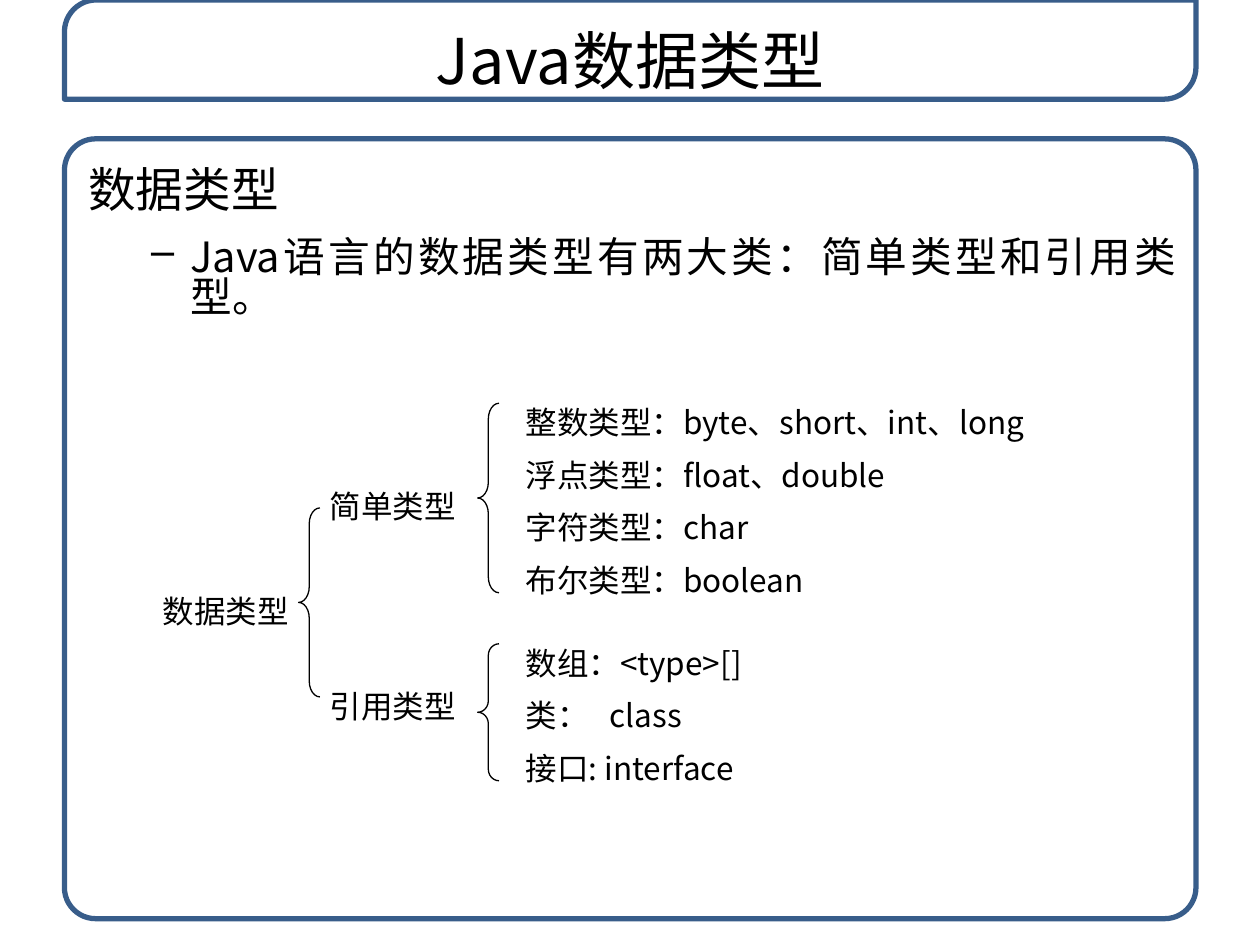
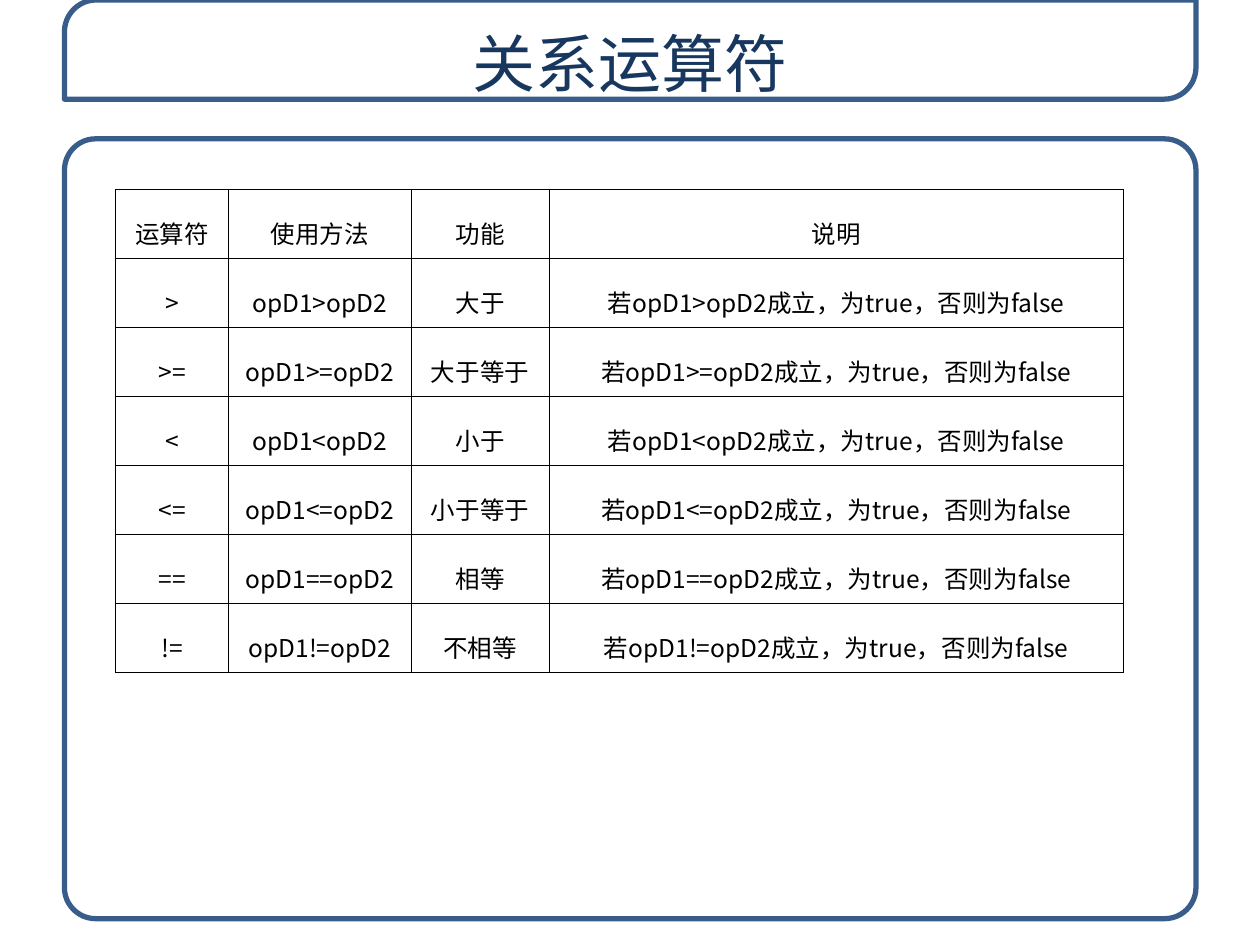
from typing import NamedTuple

from lxml.etree import SubElement
from pptx import Presentation
from pptx.dml.color import RGBColor
from pptx.enum.shapes import MSO_SHAPE as Preset
from pptx.enum.text import MSO_ANCHOR as Anchor, PP_ALIGN as Align
from pptx.oxml.ns import qn
from pptx.util import Cm, Pt

FONT = "Noto Sans CJK SC"
COLORS = {"frame": "385D8A", "paper": "FFFFFF", "text": "000000", "navy": "17375E"}


class Box(NamedTuple):
    """Left, top, width and height in centimetres."""
    left: float
    top: float
    width: float
    height: float

    def lengths(self):
        return [Cm(value) for value in self]

    def inner(self, left, top, width, height):
        return Box(self.left + left, self.top + top, width, height)


TITLE_FRAME = Box(1.3, 0, 22.81, 2)
CONTENT_FRAME = Box(1.3, 2.8, 22.81, 15.72)
TITLE_BOXES = {"types": Box(1.27, 0.3, 22.86, 1.45), "operators": Box(1.3, 0.36, 22.78, 1.93)}

LEAF_PITCH = 1.06
LABEL_HEIGHT = 0.76
BRACE_WIDTH = 0.43
# Branch name, its top, the top of its leaves, the leaves
BRANCHES = [
    ("简单类型", 1.68, 0, ["整数类型：byte、short、int、long", "浮点类型：float、double",
                       "字符类型：char", "布尔类型：boolean"]),
    ("引用类型", 5.72, 4.85, ["数组：<type>[]", "类：\tclass", "接口: interface"]),
]

COLUMN_WIDTHS = [2.28, 3.68, 2.78, 11.58]
HEADINGS = ["运算符", "使用方法", "功能", "说明"]
OPERATORS = {">": "大于", ">=": "大于等于", "<": "小于", "<=": "小于等于",
             "==": "相等", "!=": "不相等"}


def set_all(target, values):
    for name, value in values.items():
        setattr(target, name, value)


def write(paragraph, text, size, color="text", **paragraph_format):
    set_all(paragraph, paragraph_format)
    run = paragraph.add_run()
    run.text = text
    set_all(run.font, {"name": FONT, "size": Pt(size)})
    run.font.color.rgb = RGBColor.from_string(COLORS[color])
    SubElement(run.font._element, qn("a:ea"), typeface=FONT)


def set_frame(frame, margin_x, margin_y, anchor):
    set_all(frame, {"margin_left": Cm(margin_x), "margin_right": Cm(margin_x),
                    "margin_top": Cm(margin_y), "margin_bottom": Cm(margin_y),
                    "vertical_anchor": anchor, "word_wrap": True})


def add_outline(slide, preset, box, adjustments, color, width, filled):
    shape = slide.shapes.add_shape(preset, *box.lengths())
    for index, value in enumerate(adjustments):
        shape.adjustments[index] = value
    shape.shadow.inherit = False
    if filled:
        shape.fill.solid()
        shape.fill.fore_color.rgb = RGBColor.from_string(COLORS["paper"])
    else:
        shape.fill.background()
    shape.line.color.rgb = RGBColor.from_string(COLORS[color])
    shape.line.width = Pt(width)
    return shape


def move_frames_to_layout(slide):
    """Draw the two frames and hand them to the layout, so that every slide shows them."""
    tree = slide.slide_layout.shapes._spTree
    for preset, box, adjustments in [
        (Preset.ROUND_2_DIAG_RECTANGLE, TITLE_FRAME, [0.32, 0]),
        (Preset.ROUNDED_RECTANGLE, CONTENT_FRAME, [0.04]),
    ]:
        shape = add_outline(slide, preset, box, adjustments, "frame", 3, True)
        tree.insert(2, shape._element)


def set_title(slide, text, box, color):
    title = slide.shapes.title
    set_all(title, dict(zip(("left", "top", "width", "height"), box.lengths())))
    set_frame(title.text_frame, 0.25, 0.13, Anchor.TOP)
    write(title.text_frame.paragraphs[0], text, 36, color,
          alignment=Align.CENTER, line_spacing=1.0)


def add_introduction(slide, box):
    frame = slide.shapes.add_textbox(*box.lengths()).text_frame
    set_frame(frame, 0.41, 0.13, Anchor.TOP)
    write(frame.paragraphs[0], "数据类型", 27.2, alignment=Align.JUSTIFY, line_spacing=1.0)
    item = frame.add_paragraph()
    properties = item._p.get_or_add_pPr()
    # Without hanging punctuation the full stop stays inside the right margin
    for name, value in {"marL": Cm(2.06), "indent": -Cm(0.79), "hangingPunct": 0}.items():
        properties.set(name, str(value))
    write(item, "Java语言的数据类型有两大类：简单类型和引用类型。", 23.8,
          alignment=Align.JUSTIFY, line_spacing=0.81, space_before=Pt(13))
    SubElement(properties, qn("a:buChar"), char="–")


def add_label(slide, text, box):
    frame = slide.shapes.add_textbox(*box.lengths()).text_frame
    set_frame(frame, 0, 0, Anchor.MIDDLE)
    paragraph = frame.paragraphs[0]
    if "\t" in text:
        tabs = SubElement(paragraph._p.get_or_add_pPr(), qn("a:tabLst"))
        SubElement(tabs, qn("a:tab"), pos=str(Cm(1.69)), algn="l")
    write(paragraph, text, 18)


def add_brace(slide, box):
    curve = box.height / 12 / box.width
    add_outline(slide, Preset.LEFT_BRACE, box, [curve, 0.5], "text", 0.75, False)


def add_type_tree(slide, box):
    add_label(slide, "数据类型", box.inner(0, 3.81, 2.7, LABEL_HEIGHT))
    add_brace(slide, box.inner(2.74, 2.11, BRACE_WIDTH, 3.81))
    for name, name_top, leaves_top, leaves in BRANCHES:
        add_label(slide, name, box.inner(3.37, name_top, 2.7, LABEL_HEIGHT))
        brace_height = (len(leaves) - 1) * LEAF_PITCH + 0.64
        add_brace(slide, box.inner(6.35, leaves_top, BRACE_WIDTH, brace_height))
        for index, leaf in enumerate(leaves):
            top = leaves_top + index * LEAF_PITCH
            add_label(slide, leaf, box.inner(7.32, top, box.width - 7.32, LABEL_HEIGHT))


def add_cell_borders(cell):
    properties = cell._tc.get_or_add_tcPr()
    for side in ("lnL", "lnR", "lnT", "lnB"):
        line = SubElement(properties, qn(f"a:{side}"), w=str(Pt(0.23)))
        fill = SubElement(line, qn("a:solidFill"))
        SubElement(fill, qn("a:srgbClr"), val=COLORS["text"])


def add_operator_table(slide, box):
    rows = [HEADINGS]
    for operator, meaning in OPERATORS.items():
        usage = f"opD1{operator}opD2"
        rows.append([operator, usage, meaning, f"若{usage}成立，为true，否则为false"])
    table = slide.shapes.add_table(len(rows), len(HEADINGS), *box.lengths()).table
    set_all(table, {"first_row": False, "horz_banding": False})
    for column, width in zip(table.columns, COLUMN_WIDTHS):
        column.width = Cm(width)
    for row, texts in zip(table.rows, rows):
        row.height = Cm(box.height / len(rows))
        for cell, text in zip(row.cells, texts):
            add_cell_borders(cell)
            cell.fill.background()
            cell.vertical_anchor = Anchor.MIDDLE
            write(cell.text_frame.paragraphs[0], text, 14,
                  alignment=Align.CENTER, line_spacing=1.5)


def build_types_slide(slide):
    set_title(slide, "Java数据类型", TITLE_BOXES["types"], "text")
    add_introduction(slide, CONTENT_FRAME.inner(0.07, 0.3, 22.76, 2.97))
    add_type_tree(slide, CONTENT_FRAME.inner(1.98, 5.33, 18.95, 7.61))


def build_operators_slide(slide):
    set_title(slide, "关系运算符", TITLE_BOXES["operators"], "navy")
    add_operator_table(slide, CONTENT_FRAME.inner(1.03, 1.02, sum(COLUMN_WIDTHS), 9.73))


def main():
    presentation = Presentation()
    set_all(presentation, {"slide_width": Cm(25.4), "slide_height": Cm(19.05)})
    title_only = presentation.slide_layouts[5]
    types_slide, operators_slide = [presentation.slides.add_slide(title_only) for _ in range(2)]
    move_frames_to_layout(types_slide)
    build_types_slide(types_slide)
    build_operators_slide(operators_slide)
    presentation.save("out.pptx")


if __name__ == "__main__":
    main()
